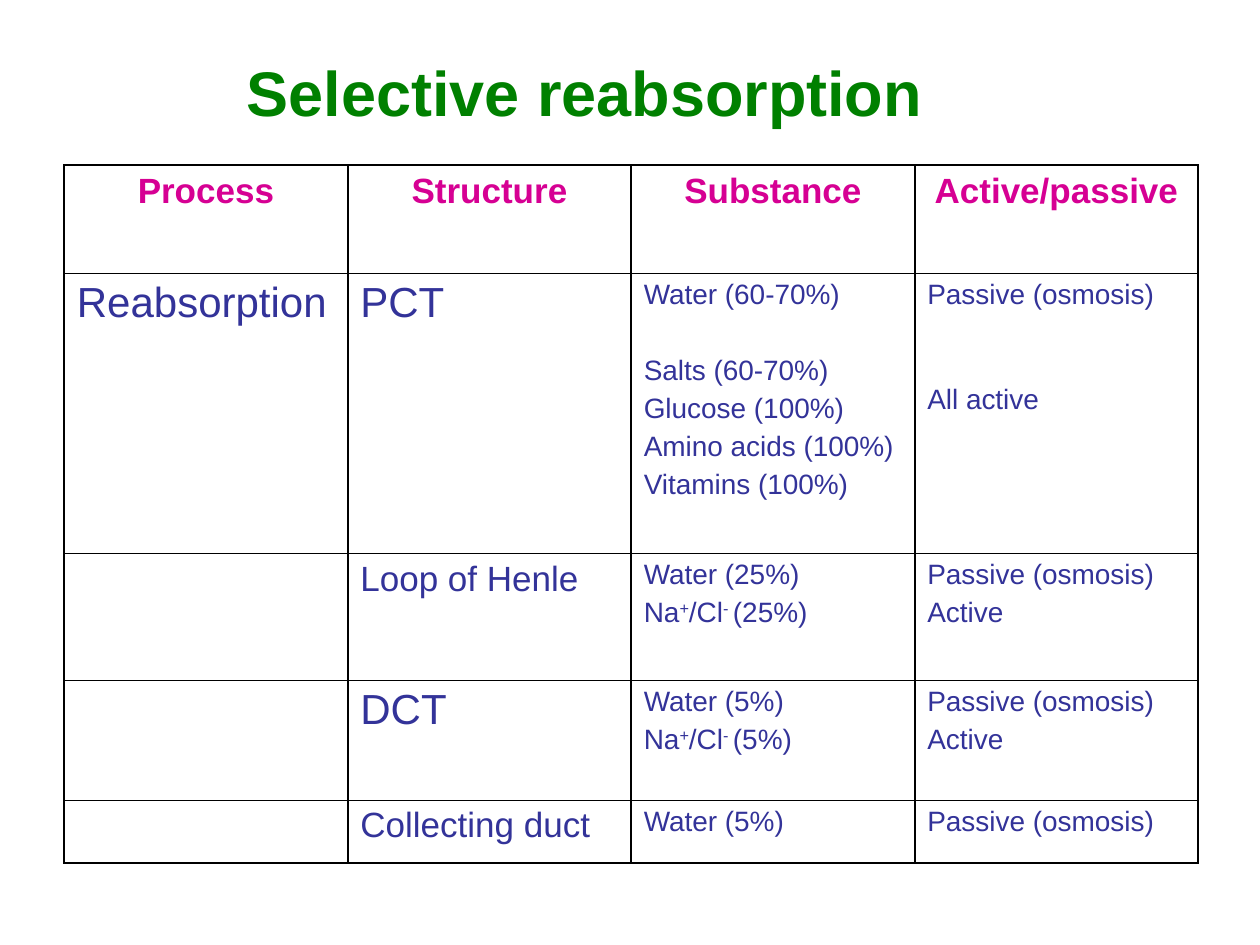
from dataclasses import dataclass

from pptx import Presentation
from pptx.dml.color import RGBColor
from pptx.enum.text import MSO_ANCHOR as Anchor, PP_ALIGN as Align
from pptx.oxml.ns import qn
from pptx.util import Inches, Pt
from lxml.etree import SubElement


@dataclass(frozen=True)
class Theme:
    font: str = "Arial"
    title_color: str = "008000"
    header_color: str = "D60093"
    body_color: str = "333399"
    border_color: str = "000000"
    title_size: int = 36
    large: int = 24
    medium: int = 20
    small: int = 16
    thick: float = 1.08
    thin: float = 0.45
    line_gap: int = 4


THEME = Theme()
HEADERS = ["Process", "Structure", "Substance", "Active/passive"]
COLUMN_WIDTH = 2.25
ROW_HEIGHTS = [0.86, 0.94, 1.28, 1.01, 0.95, 0.5]
RULES = [THEME.thick, THEME.thick, None, THEME.thin, THEME.thin, THEME.thin, THEME.thick]
MERGED_COLUMNS = (2, 3)
STRUCTURES = [
    (1, "PCT", THEME.large,
     ["Water (60-70%)", "Salts (60-70%)", "Glucose (100%)",
      "Amino acids (100%)", "Vitamins (100%)"],
     ["Passive (osmosis)", "All active"]),
    (3, "Loop of Henle", THEME.medium,
     ["Water (25%)", "Na^+^/Cl^- ^(25%)"], ["Passive (osmosis)", "Active"]),
    (4, "DCT", THEME.large,
     ["Water (5%)", "Na^+^/Cl^- ^(5%)"], ["Passive (osmosis)", "Active"]),
    (5, "Collecting duct", THEME.medium, ["Water (5%)"], ["Passive (osmosis)"]),
]
GROUP_GAPS = {"Salts (60-70%)": 25.5, "All active": 42}


def add_run(paragraph, text, size, color, bold=False, superscript=False):
    run = paragraph.add_run()
    run.text = text
    run.font.name = THEME.font
    run.font.size = Pt(size)
    run.font.bold = bold
    run.font.color.rgb = RGBColor.from_string(color)
    if superscript:
        run.font._element.set("baseline", "30000")


def add_title(slide, text):
    title = slide.shapes.title
    title.left, title.top = Inches(0.5), Inches(0.3)
    title.width, title.height = Inches(8.28), Inches(0.85)
    title.text_frame.vertical_anchor = Anchor.MIDDLE
    paragraph = title.text_frame.paragraphs[0]
    paragraph.alignment = Align.CENTER
    add_run(paragraph, text, THEME.title_size, THEME.title_color, bold=True)


def write_cell(cell, lines, size, color=THEME.body_color, bold=False, alignment=Align.LEFT):
    frame = cell.text_frame
    for index, line in enumerate(lines):
        paragraph = frame.add_paragraph() if index else frame.paragraphs[0]
        paragraph.alignment = alignment
        if index:
            paragraph.space_before = Pt(GROUP_GAPS.get(line, THEME.line_gap))
        for position, part in enumerate(line.split("^")):
            add_run(paragraph, part, size, color, bold, superscript=position % 2 == 1)


def set_border(cell, side, weight):
    properties = cell._tc.get_or_add_tcPr()
    line = SubElement(properties, qn(f"a:ln{side}"))
    if weight is None:
        SubElement(line, qn("a:noFill"))
        return
    line.set("w", str(Pt(weight)))
    fill = SubElement(line, qn("a:solidFill"))
    SubElement(fill, qn("a:srgbClr")).set("val", THEME.border_color)


def format_cell(cell, row):
    bottom = row + (cell.span_height if cell.is_merge_origin else 1)
    weights = {"L": THEME.thick, "R": THEME.thick, "T": RULES[row], "B": RULES[bottom]}
    for side, weight in weights.items():
        set_border(cell, side, weight)
    cell.fill.background()
    cell.margin_left = cell.margin_right = Inches(0.1)
    cell.margin_top = cell.margin_bottom = Inches(0.05)


def add_reabsorption_table(slide):
    frame = slide.shapes.add_table(
        len(ROW_HEIGHTS), len(HEADERS), Inches(0.51), Inches(1.31),
        Inches(COLUMN_WIDTH * len(HEADERS)), Inches(sum(ROW_HEIGHTS)))
    table = frame.table
    table.horz_banding = False
    table.first_row = False
    for column in table.columns:
        column.width = Inches(COLUMN_WIDTH)
    for row, height in zip(table.rows, ROW_HEIGHTS):
        row.height = Inches(height)
    for column in MERGED_COLUMNS:
        table.cell(1, column).merge(table.cell(2, column))
    for row in range(len(ROW_HEIGHTS)):
        for column in range(len(HEADERS)):
            format_cell(table.cell(row, column), row)
    for column, header in enumerate(HEADERS):
        write_cell(table.cell(0, column), [header], THEME.medium,
                   THEME.header_color, True, Align.CENTER)
    write_cell(table.cell(1, 0), ["Reabsorption"], THEME.large)
    for row, structure, size, substances, transport in STRUCTURES:
        write_cell(table.cell(row, 1), [structure], size)
        write_cell(table.cell(row, 2), substances, THEME.small)
        write_cell(table.cell(row, 3), transport, THEME.small)


def main():
    presentation = Presentation()
    presentation.slide_width = Inches(10)
    presentation.slide_height = Inches(7.5)
    slide = presentation.slides.add_slide(presentation.slide_layouts[5])
    add_title(slide, "Selective reabsorption")
    add_reabsorption_table(slide)
    presentation.save("out.pptx")


if __name__ == "__main__":
    main()
